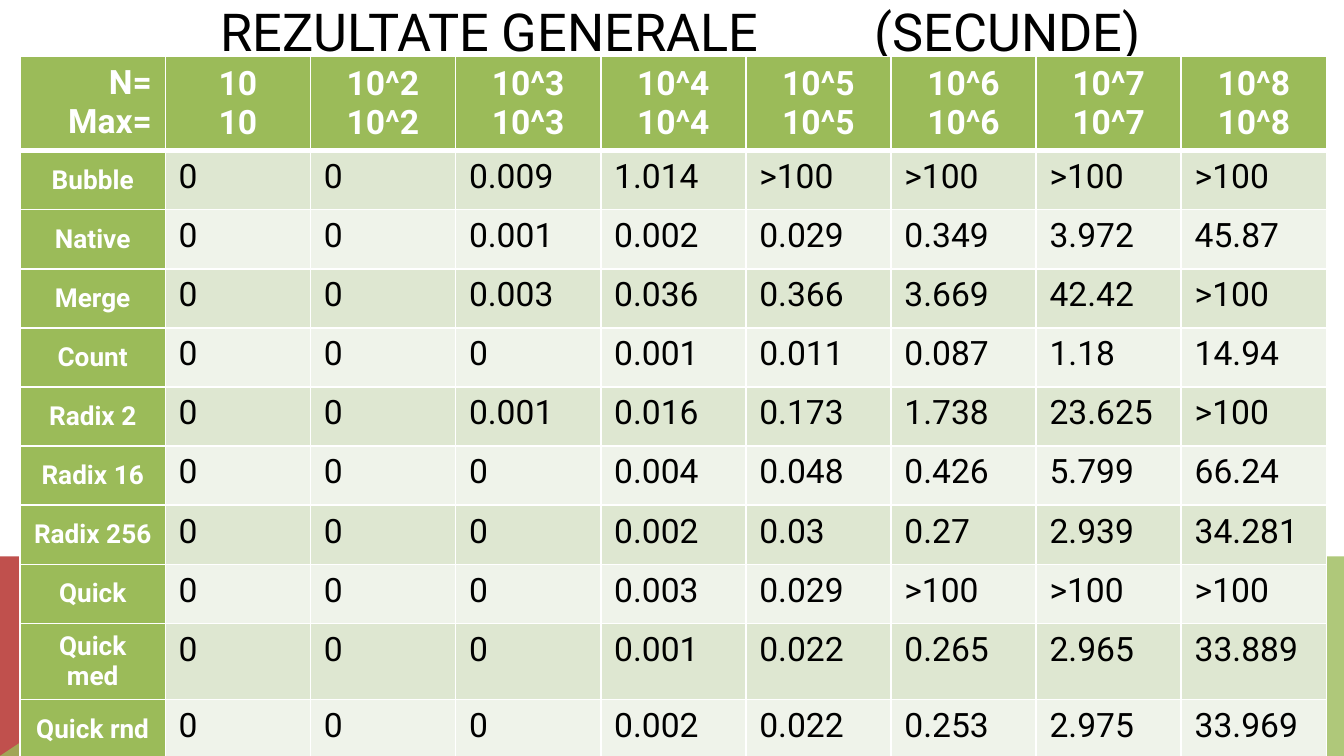
from lxml import etree
from pptx import Presentation
from pptx import util as u
from pptx.dml.color import RGBColor
from pptx.enum import text
from pptx.oxml import ns

GREEN = RGBColor(0x9B, 0xBB, 0x59)
RED = RGBColor(0xC0, 0x50, 0x4D)
WHITE = RGBColor(0xFF, 0xFF, 0xFF)
BLACK = RGBColor(0, 0, 0)
BANDS = RGBColor(0xDE, 0xE7, 0xD1), RGBColor(0xEF, 0xF3, 0xEA)

WIDTH = u.Inches(10)
HEIGHT = WIDTH * 9 // 16
HEADINGS = ["10"] + [f"10^{power}" for power in range(2, 9)]
TIMES = {
    "Bubble": "0 0 0.009 1.014 >100 >100 >100 >100",
    "Native": "0 0 0.001 0.002 0.029 0.349 3.972 45.87",
    "Merge": "0 0 0.003 0.036 0.366 3.669 42.42 >100",
    "Count": "0 0 0 0.001 0.011 0.087 1.18 14.94",
    "Radix 2": "0 0 0.001 0.016 0.173 1.738 23.625 >100",
    "Radix 16": "0 0 0 0.004 0.048 0.426 5.799 66.24",
    "Radix 256": "0 0 0 0.002 0.03 0.27 2.939 34.281",
    "Quick": "0 0 0 0.003 0.029 >100 >100 >100",
    "Quick med": "0 0 0 0.001 0.022 0.265 2.965 33.889",
    "Quick rnd": "0 0 0 0.002 0.022 0.253 2.975 33.969",
}
LEFT, CENTER, RIGHT = (text.PP_ALIGN.LEFT, text.PP_ALIGN.CENTER,
                       text.PP_ALIGN.RIGHT)
TOP, MIDDLE = text.MSO_ANCHOR.TOP, text.MSO_ANCHOR.MIDDLE
HEADER = {"size": u.Pt(18), "bold": True, "color": WHITE}
LABEL = {**HEADER, "size": u.Pt(14)}
VALUE = {"size": u.Pt(18), "bold": False, "color": BLACK}
TITLE = {**VALUE, "size": u.Pt(28)}


def write(para, words, align, style):
    para.alignment = align
    span = para.add_run()
    span.text = words
    span.font.name = "Roboto"
    for name, value in style.items():
        if name == "color":
            span.font.color.rgb = value
        else:
            setattr(span.font, name, value)


def add_child(parent, tag, **values):
    return etree.SubElement(parent, ns.qn(tag), values)


def add_polygon(page, points, color, opacity=1):
    builder = page.shapes.build_freeform(*points[0])
    builder.add_line_segments(points[1:], close=True)
    shape = builder.convert_to_shape()
    shape.shadow.inherit = False
    shape.fill.solid()
    shape.fill.fore_color.rgb = color
    shape.line.fill.background()
    if opacity < 1:
        tint = shape.fill._xPr.find(".//" + ns.qn("a:srgbClr"))
        add_child(tint, "a:alpha", val=str(int(opacity * 100000)))


def add_backdrop(page, left, top, width, height):
    bend, tip = left + int(width * 0.223), left + int(width * 0.391)
    right, bottom = left + width, top + height
    add_polygon(page, [(left, bottom), (left, top), (bend, top),
                       (tip, bottom)], RED)
    add_polygon(page, [(left, bottom), (bend, top), (right, top),
                       (right, bottom)], GREEN, 0.8)


def add_title(page, left, top, width, height):
    box = page.shapes.add_textbox(left, top, width, height)
    frame = box.text_frame
    frame.word_wrap = True
    frame.vertical_anchor = MIDDLE
    para = frame.paragraphs[0]
    write(para, "REZULTATE GENERALE\t(SECUNDE)", LEFT, TITLE)
    stops = add_child(para._p.get_or_add_pPr(), "a:tabLst")
    add_child(stops, "a:tab", pos=str(u.Inches(4.87)), algn="l")


def set_borders(cell, top, bottom):
    properties = cell._tc.get_or_add_tcPr()
    for side, points in zip("LRTB", (1, 1, top, bottom)):
        line = add_child(properties, f"a:ln{side}", w=str(u.Pt(points)))
        fill = add_child(line, "a:solidFill")
        add_child(fill, "a:srgbClr", val=str(WHITE))


def fill_cell(cell, lines, color, align, anchor, style):
    cell.fill.solid()
    cell.fill.fore_color.rgb = color
    cell.vertical_anchor = anchor
    frame = cell.text_frame
    for index, line in enumerate(lines):
        para = frame.add_paragraph() if index else frame.paragraphs[0]
        write(para, line, align, style)


def add_results(page, left, top, width, header_height, row_height):
    count = len(TIMES)
    columns = len(HEADINGS) + 1
    table = page.shapes.add_table(count + 1, columns, left, top, width,
                                  header_height + count * row_height).table
    for column in table.columns:
        column.width = width // columns
    for index, row in enumerate(table.rows):
        row.height = row_height if index else header_height
        for cell in row.cells:
            set_borders(cell, 3 if index == 1 else 1, 1 if index else 3)

    fill_cell(table.cell(0, 0), ["N=", "Max="], GREEN, RIGHT, TOP, HEADER)
    for column, heading in enumerate(HEADINGS, 1):
        fill_cell(table.cell(0, column), [heading] * 2, GREEN, CENTER,
                  MIDDLE, HEADER)
    for row, (label, times) in enumerate(TIMES.items(), 1):
        fill_cell(table.cell(row, 0), [label], GREEN, CENTER, MIDDLE, LABEL)
        for column, time in enumerate(times.split(), 1):
            fill_cell(table.cell(row, column), [time], BANDS[(row - 1) % 2],
                      LEFT, TOP, VALUE)


def main():
    deck = Presentation()
    deck.slide_width, deck.slide_height = WIDTH, HEIGHT
    page = deck.slides.add_slide(deck.slide_layouts[6])
    page.background.fill.solid()
    page.background.fill.fore_color.rgb = WHITE
    horizon = u.Inches(4.14)
    add_backdrop(page, 0, horizon, WIDTH, HEIGHT - horizon)
    add_title(page, u.Inches(1.54), 0, u.Inches(8.22), u.Inches(0.45))
    add_results(page, u.Inches(0.15), u.Inches(0.42), u.Inches(9.72),
                u.Inches(0.69), u.Inches(0.44))
    deck.save("out.pptx")


if __name__ == "__main__":
    main()
